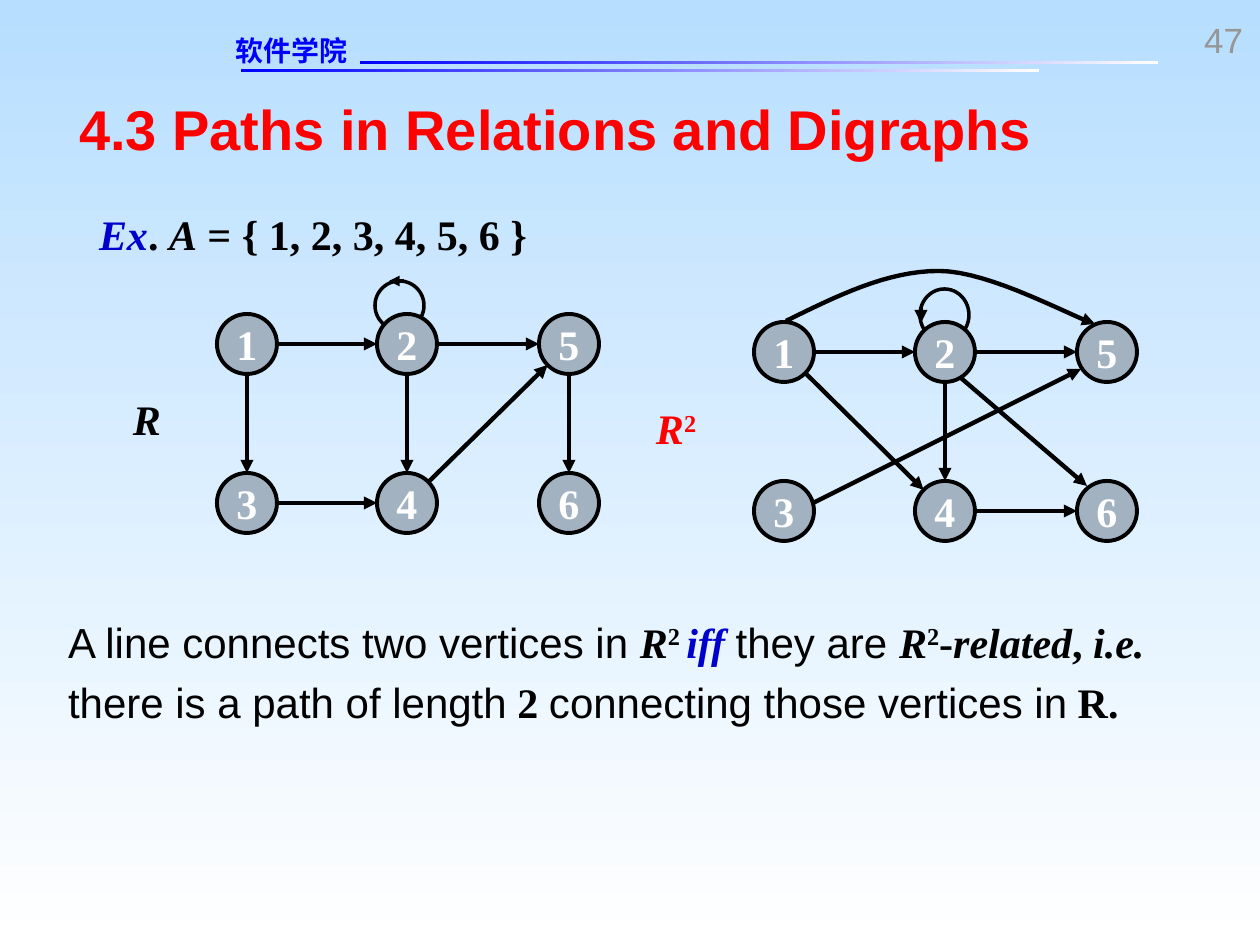
"""Build the slide on paths in relations and digraphs, with the graphs of R and R squared."""
from math import hypot

from lxml.etree import SubElement
from pptx import Presentation
from pptx.dml.color import RGBColor
from pptx.enum.shapes import MSO_CONNECTOR, MSO_SHAPE
from pptx.enum.text import MSO_ANCHOR, MSO_AUTO_SIZE, PP_ALIGN
from pptx.oxml.ns import qn
from pptx.util import Emu, Pt

PX = 914400 / 126
COLORS = {
    "sky": "B7DEFF", "white": "FFFFFF", "black": "000000", "blue": "0000FF",
    "navy": "0000CC", "red": "FF0000", "gray": "969696", "node": "A3B2C1",
}
RGB = {name: RGBColor.from_string(value) for name, value in COLORS.items()}
SERIF = "Times New Roman"
RADIUS = 30


def add_span(para, text, font="Arial", size=24, color="black", bold=False, italic=False, raised=False):
    span = para.add_run()
    span.text = text
    span.font.name = font
    span.font.size = Pt(size)
    span.font.bold = bold
    span.font.italic = italic
    span.font.color.rgb = RGB[color]
    if raised:
        span.font._element.set("baseline", "30000")


def style_line(shape, width=2.5, arrow=True):
    shape.line.color.rgb = RGB["black"]
    shape.line.width = Pt(width)
    if arrow:
        SubElement(shape.line._get_or_add_ln(), qn("a:tailEnd"), type="triangle")
    properties = shape._element.spPr
    if properties.find(qn("a:effectLst")) is None:
        SubElement(properties, qn("a:effectLst"))


deck = Presentation()
deck.slide_width = Emu(round(1260 * PX))
deck.slide_height = Emu(round(945 * PX))
page = deck.slides.add_slide(deck.slide_layouts[5])

backdrop = page.background.fill
backdrop.gradient()
backdrop.gradient_angle = 270
for stop, color in zip(backdrop.gradient_stops, ("sky", "white")):
    stop.color.rgb = RGB[color]

for left, top in ((241, 69), (360, 61)):
    bar = page.shapes.add_shape(MSO_SHAPE.RECTANGLE, *(Emu(round(v * PX)) for v in (left, top, 798, 3)))
    bar.shadow.inherit = False
    bar.line.fill.background()
    bar.fill.gradient()
    bar.fill.gradient_angle = 0
    for stop, color in zip(bar.fill.gradient_stops, ("blue", "white")):
        stop.color.rgb = RGB[color]

title = page.shapes.title
title.left, title.top, title.width, title.height = (Emu(round(v * PX)) for v in (79, 94, 1128, 67))
frame = title.text_frame
frame.margin_left = frame.margin_top = frame.margin_right = frame.margin_bottom = 0
frame.vertical_anchor = MSO_ANCHOR.TOP
frame.auto_size = MSO_AUTO_SIZE.NONE
frame.paragraphs[0].alignment = PP_ALIGN.LEFT
add_span(frame.paragraphs[0], "4.3 Paths in Relations and Digraphs", size=32, color="red", bold=True)

strong = dict(font=SERIF, bold=True)
slanted = dict(strong, italic=True)
raised = dict(strong, raised=True)
texts = [
    ((236, 34, 183, 34), PP_ALIGN.LEFT, 1, [
        ("软件学院", dict(font="DejaVu Sans", size=16, color="blue", bold=True))]),
    ((1149, 18, 94, 42), PP_ALIGN.RIGHT, 1, [("47", dict(size=20, color="gray"))]),
    ((99, 198, 939, 60), PP_ALIGN.LEFT, 1.2, [
        ("Ex", dict(slanted, color="navy")), (". ", strong), ("A", slanted),
        (" = { 1, 2, 3, 4, 5, 6 }", strong)]),
    ((133, 394, 32, 50), PP_ALIGN.LEFT, 1, [("R", slanted)]),
    ((656, 403, 46, 50), PP_ALIGN.LEFT, 1, [
        ("R", dict(slanted, color="red")), ("2", dict(raised, color="red"))]),
    ((68, 606, 1128, 121), PP_ALIGN.LEFT, 1.2, [
        ("A line connects two vertices in ", {}), ("R", slanted), ("2 ", raised),
        ("iff ", dict(slanted, color="navy")), ("they are ", {}), ("R", slanted),
        ("2", raised), ("-", strong), ("related", slanted), (", ", strong),
        ("i.e. ", slanted), ("there is a path of length", {}), (" 2 ", strong),
        ("connecting those vertices in", {}), (" R.", strong)]),
]
for bounds, alignment, spacing, spans in texts:
    box = page.shapes.add_textbox(*(Emu(round(v * PX)) for v in bounds))
    frame = box.text_frame
    frame.word_wrap = True
    frame.margin_left = frame.margin_top = frame.margin_right = frame.margin_bottom = 0
    para = frame.paragraphs[0]
    para.alignment = alignment
    para.line_spacing = spacing
    for text, style in spans:
        add_span(para, text, **style)

graphs = [
    dict(columns=(247, 407, 569), rows=(344, 503), loop=(375, 281, 49, 49),
         loop_arrow=(404, 281, 389, 281), arrow_width=2,
         edges=("12", "13", "25", "34", "24", "45", "56"), long_edges=()),
    dict(columns=(784, 945, 1107), rows=(352, 511), loop=(920, 289, 49, 52),
         loop_arrow=(921, 307, 921, 323), arrow_width=2.5,
         edges=("12", "25", "24", "14", "46"),
         long_edges=((961, 378, 1087, 486), (813, 503, 1081, 369))),
]
for graph in graphs:
    loop = page.shapes.add_shape(MSO_SHAPE.OVAL, *(Emu(round(v * PX)) for v in graph["loop"]))
    loop.fill.background()
    style_line(loop, width=2, arrow=False)

    spots = [(x, y) for y in graph["rows"] for x in graph["columns"]]
    centers = dict(zip("125346", spots))
    for name, (x, y) in centers.items():
        bounds = (x - RADIUS, y - RADIUS, 2 * RADIUS, 2 * RADIUS)
        node = page.shapes.add_shape(MSO_SHAPE.OVAL, *(Emu(round(v * PX)) for v in bounds))
        node.fill.solid()
        node.fill.fore_color.rgb = RGB["node"]
        style_line(node, width=2.25, arrow=False)
        node.text_frame.word_wrap = False
        node.text_frame.vertical_anchor = MSO_ANCHOR.MIDDLE
        para = node.text_frame.paragraphs[0]
        para.alignment = PP_ALIGN.CENTER
        add_span(para, name, color="white", **strong)

    arrows = [(graph["loop_arrow"], graph["arrow_width"])]
    arrows += [(ends, 2.5) for ends in graph["long_edges"]]
    for start, end in graph["edges"]:
        (x1, y1), (x2, y2) = centers[start], centers[end]
        share = RADIUS / hypot(x2 - x1, y2 - y1)
        dx, dy = (x2 - x1) * share, (y2 - y1) * share
        arrows.append(((x1 + dx, y1 + dy, x2 - dx, y2 - dy), 2.5))
    for ends, width in arrows:
        arrow = page.shapes.add_connector(MSO_CONNECTOR.STRAIGHT, *(Emu(round(v * PX)) for v in ends))
        style_line(arrow, width=width)

curves = [
    ((786, 321), (837, 296), (887, 271), (939, 271)),
    ((939, 271), (990, 271), (1072, 317), (1095, 324)),
]
steps = 16
points = []
for curve in curves:
    for step in range(1, steps + 1):
        t = step / steps
        weights = ((1 - t) ** 3, 3 * t * (1 - t) ** 2, 3 * t ** 2 * (1 - t), t ** 3)
        points.append(tuple(sum(w * p[axis] for w, p in zip(weights, curve)) * PX for axis in (0, 1)))
start_x, start_y = curves[0][0]
builder = page.shapes.build_freeform(round(start_x * PX), round(start_y * PX))
builder.add_line_segments(points, close=False)
arc = builder.convert_to_shape()
arc.fill.background()
style_line(arc)

deck.save("out.pptx")
